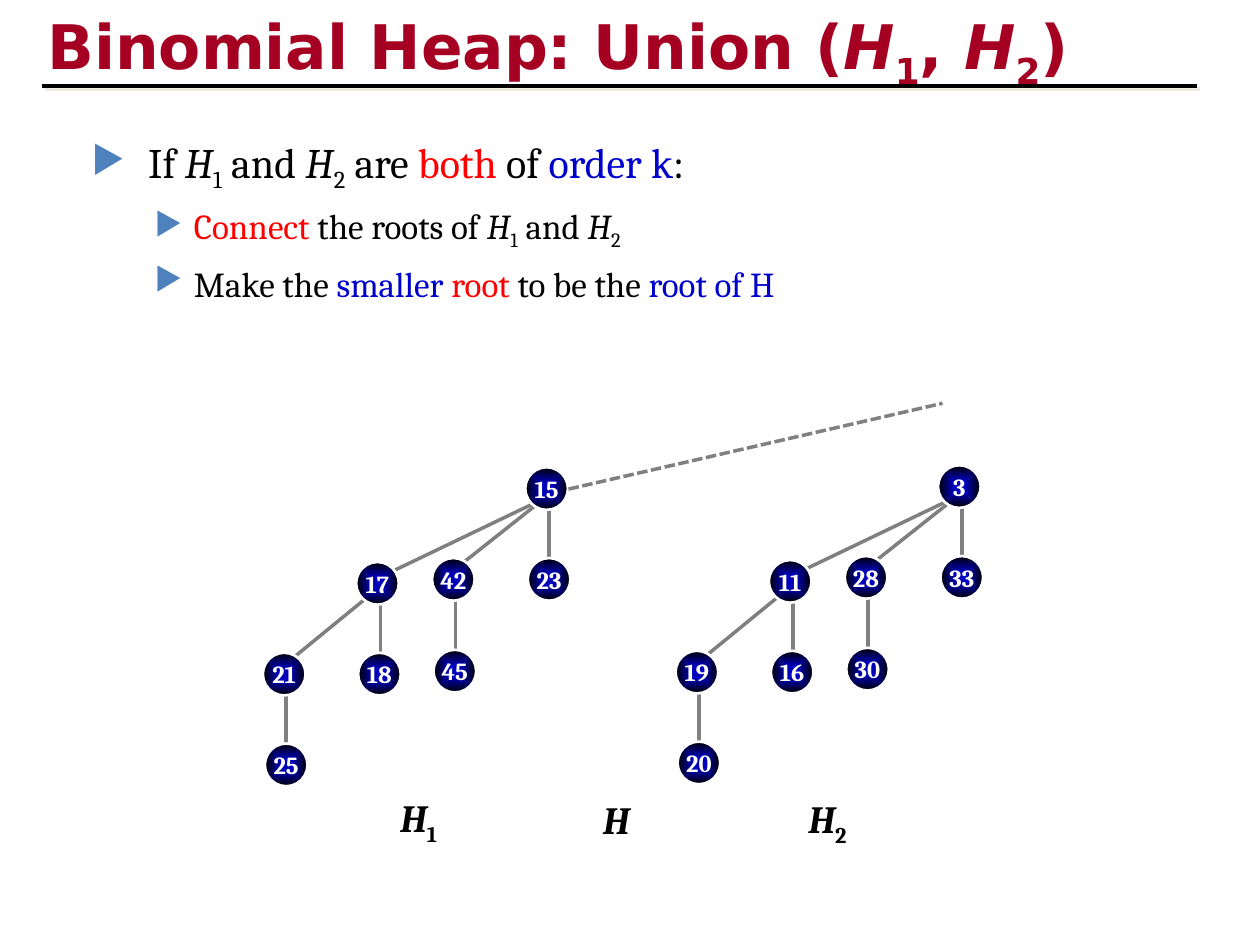
from typing import NamedTuple, Optional

from pptx import Presentation
from pptx import oxml
from pptx import util as u
from pptx.dml.color import RGBColor
from pptx.enum import dml, shapes, text
from pptx.oxml import ns
from pptx.util import Cm

SERIF, SANS = "Cambria", "DejaVu Sans"
BLACK, WHITE, GREY = "000000", "FFFFFF", "808080"
RED, BLUE, WINE = "FF0000", "0000CC", "A50021"
SIZE = 0.86
SHADE = ('<a:outerShdw dist="35560" dir="2700000" algn="ctr" rotWithShape="0">'
         '<a:srgbClr val="EEECE1"/></a:outerShdw>')
STOPS = [(0, BLUE), (6, "0000C0"), (10, "0000B7"), (16, "0000AB"),
         (21, BLUE), (100, BLACK)]


class Run(NamedTuple):
    text: str
    color: Optional[str] = None
    slant: bool = False
    sub: bool = False


class Line(NamedTuple):
    x1: float
    y1: float
    x2: float
    y2: float


class Node(NamedTuple):
    """A heap node with the edge that joins it to its parent."""
    x: float
    y: float
    edge: Optional[Line] = None


class Label(NamedTuple):
    x: float
    y: float
    runs: list


TREE = [
    Node(10.59, 9.42),
    Node(10.64, 11.25, Line(11.07, 10.29, 11.07, 11.56)),
    Node(8.71, 11.25, Line(9.19, 11.46, 10.87, 10.13)),
    Node(8.74, 13.1, Line(9.18, 12.12, 9.18, 13.39)),
    Node(7.18, 11.33, Line(7.82, 11.56, 10.8, 10.13)),
    Node(7.22, 13.16, Line(7.67, 12.19, 7.67, 13.44)),
    Node(5.3, 13.16, Line(5.79, 13.36, 7.44, 12.01)),
    Node(5.34, 14.99, Line(5.77, 14.02, 5.77, 15.29)),
]
KEYS1 = [15, 23, 42, 45, 17, 18, 21, 25]
KEYS2 = [3, 33, 28, 30, 11, 16, 19, 20]

H = Run("H", slant=True)
H1 = [H, Run("1", sub=True)]
H2 = [H, Run("2", sub=True)]
TITLE = [Run("Binomial Heap: Union ("), *H1, Run(", "), *H2, Run(")")]
POINTS = [
    (0, [Run(" If "), *H1, Run(" and "), *H2, Run(" are "), Run("both", RED),
         Run(" of "), Run("order k", BLUE), Run(":")]),
    (1, [Run("Connect", RED), Run(" the roots of "), *H1, Run(" and "), *H2]),
    (1, [Run("Make the "), Run("smaller ", BLUE), Run("root", RED),
         Run(" to be the "), Run("root of H", BLUE)]),
]
LABELS = [Label(7.82, 15.88, H1), Label(11.91, 15.93, [H]),
          Label(16.05, 15.9, H2)]


def rgb(code: str) -> RGBColor:
    return RGBColor.from_string(code)


def make(tag: str, inner: str = "", attrs: str = ""):
    """Return a drawing element built from its tag, content and attributes."""
    return oxml.parse_xml(
        f'<a:{tag} {ns.nsdecls("a")} {attrs}>{inner}</a:{tag}>')


def style(run, size: float, font: str, color: str, bold: bool) -> None:
    run.font.size = u.Pt(size)
    run.font.name = font
    run.font.bold = bold
    run.font.color.rgb = rgb(color)


def write(para, runs: list, size: float, font: str = SERIF,
          color: str = BLACK, bold: bool = False) -> None:
    for part in runs:
        run = para.add_run()
        run.text = part.text
        style(run, size, font, part.color or color, bold)
        run.font.italic = part.slant
        if part.sub:
            run.font._element.set("baseline", "-25000")


def add_box(slide, x: float, y: float, w: float, h: float):
    box = slide.shapes.add_textbox(Cm(x), Cm(y), Cm(w), Cm(h))
    box.text_frame.word_wrap = True
    return box.text_frame


def add_line(group, line: Line, color: str = GREY, width: float = 2,
             dash: bool = False, shade: str = "") -> None:
    item = group.add_connector(shapes.MSO_CONNECTOR.STRAIGHT,
                               *(Cm(v) for v in line))
    item.line.color.rgb = rgb(color)
    item.line.width = u.Pt(width)
    if dash:
        item.line.dash_style = dml.MSO_LINE.SQUARE_DOT
    item._element.spPr.append(make("effectLst", shade))


def add_node(group, x: float, y: float, key: int) -> None:
    ball = group.add_shape(shapes.MSO_SHAPE.OVAL, Cm(x), Cm(y),
                           Cm(SIZE), Cm(SIZE))
    ball.shadow.inherit = False
    ball.line.color.rgb = rgb(WHITE)
    ball.line.width = u.Pt(1.5)
    ball.fill.gradient()
    stops = "".join(f'<a:gs pos="{pos * 1000}"><a:srgbClr val="{code}"/></a:gs>'
                    for pos, code in STOPS)
    glow = make("gradFill", f'<a:gsLst>{stops}</a:gsLst><a:path path="shape">'
                '<a:fillToRect l="50000" t="50000" r="50000" b="50000"/>'
                '</a:path>', 'rotWithShape="1"')
    props = ball._element.spPr
    props.replace(props.find(ns.qn("a:gradFill")), glow)
    frame = ball.text_frame
    frame.word_wrap = False
    frame.vertical_anchor = text.MSO_ANCHOR.MIDDLE
    frame.text = str(key)
    para = frame.paragraphs[0]
    para.alignment = text.PP_ALIGN.CENTER
    style(para.runs[0], 14, SERIF, WHITE, True)


def add_heap(group, keys: list, dx: float = 0, dy: float = 0) -> None:
    for node in TREE:
        if node.edge:
            x1, y1, x2, y2 = node.edge
            add_line(group, Line(x1 + dx, y1 + dy, x2 + dx, y2 + dy))
    for node, key in zip(TREE, keys):
        add_node(group, node.x + dx, node.y + dy, key)


def add_title(slide) -> None:
    para = add_box(slide, 0.71, 0.03, 21.59, 1.7).paragraphs[0]
    write(para, TITLE, 35.1, SANS, WINE, True)
    for run in para.runs:
        fill = run.font._element.find(ns.qn("a:solidFill"))
        fill.addnext(make("effectLst", SHADE))
    add_line(slide.shapes, Line(0.84, 1.73, 24.13, 1.73), BLACK, 2.25,
             shade=SHADE)


def add_points(slide) -> None:
    frame = add_box(slide, 1.6, 2.62, 18.9, 1.7)
    for i, (level, runs) in enumerate(POINTS):
        para = frame.add_paragraph() if i else frame.paragraphs[0]
        para.level = level
        para.space_before = u.Pt(6)
        props = para._p.get_or_add_pPr()
        left, hang = ((0.95, 0.95), (2.06, 0.79))[level]
        props.set("marL", str(Cm(left)))
        props.set("indent", str(-Cm(hang)))
        props.append(make("buClr", '<a:srgbClr val="4F81BD"/>'))
        props.append(make("buSzPct", attrs='val="90000"'))
        props.append(make("buChar", attrs='char="▶"'))
        write(para, runs, (24, 20)[level])


def main() -> None:
    deck = Presentation()
    deck.slide_width, deck.slide_height = Cm(25.4), Cm(19.05)
    slide = deck.slides.add_slide(deck.slide_layouts[6])
    add_title(slide)
    add_points(slide)
    add_heap(slide.shapes, KEYS1)
    add_heap(slide.shapes.add_group_shape().shapes, KEYS2, 8.32, -0.04)
    add_line(slide.shapes, Line(11.46, 9.86, 19, 8.13), dash=True)
    for label in LABELS:
        frame = add_box(slide, label.x, label.y, 1.45, 1.19)
        write(frame.paragraphs[0], label.runs, 22, bold=True)
    deck.save("out.pptx")


if __name__ == "__main__":
    main()
